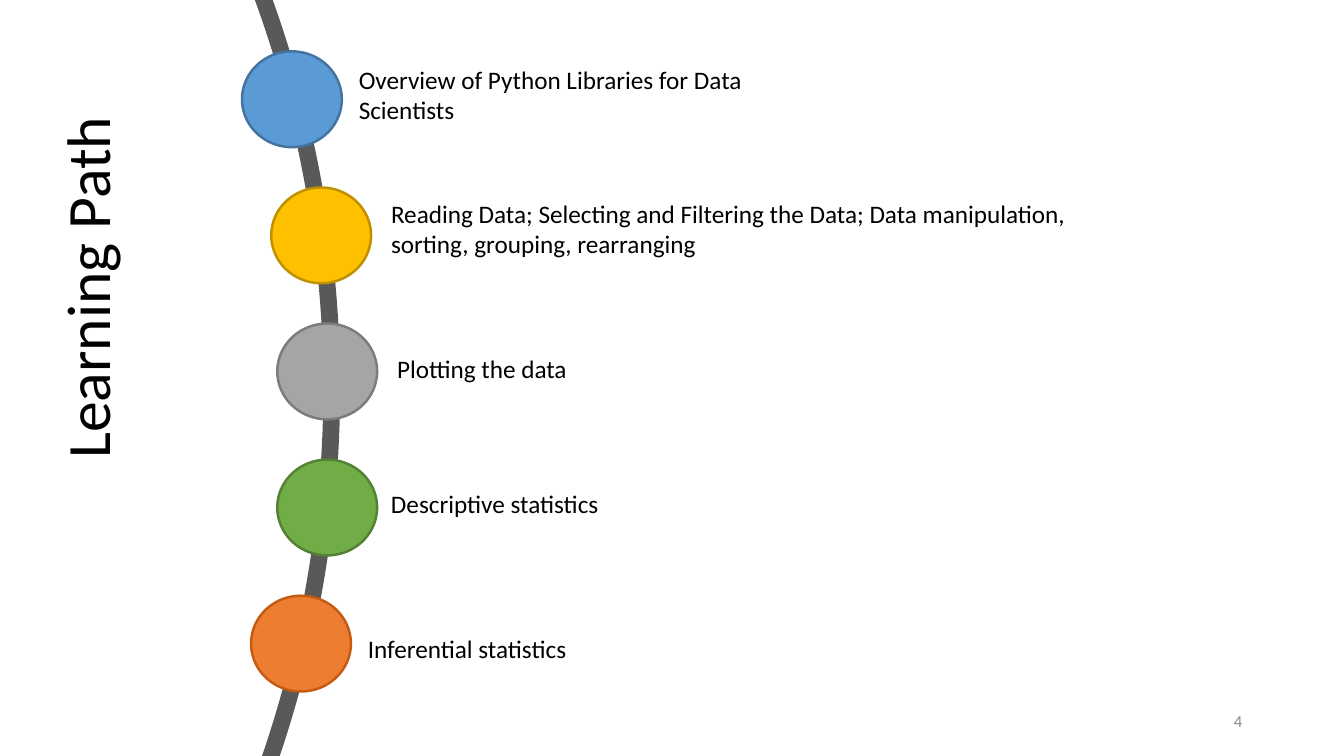
"""Build the Learning Path slide: five coloured stops along a curved road."""
import pptx
import pptx.util
import pptx.dml.color
import pptx.enum.shapes
import pptx.enum.text

Inches, Pt = pptx.util.Inches, pptx.util.Pt
ALIGN = pptx.enum.text.PP_ALIGN
ANCHOR = pptx.enum.text.MSO_ANCHOR

FONT = "Calibri"
COLORS = {
    "text": "000000", "number": "8C8C8C", "road": "595959",
    "blue": "5B9BD5", "blue_edge": "43739E",
    "gold": "FFC000", "gold_edge": "BF9000",
    "gray": "A5A5A5", "gray_edge": "7C7C7C",
    "green": "70AD47", "green_edge": "548235",
    "orange": "ED7D31", "orange_edge": "C55A11",
}
TITLE = "Learning Path"
PAGE_NUMBER = "4"
# fmt: off
STOPS = [
    {"text": "Overview of Python Libraries for Data Scientists",
     "color": "blue", "left": 2.4, "label": (3.46, 0.59, 4.59, 0.71)},
    {"text": "Reading Data; Selecting and Filtering the Data; "
             "Data manipulation, sorting, grouping, rearranging",
     "color": "gold", "left": 2.69, "label": (3.78, 1.92, 7.69, 0.71)},
    {"text": "Plotting the data",
     "color": "gray", "left": 2.75, "label": (3.84, 3.46, 5.77, 0.4)},
    {"text": "Descriptive statistics",
     "color": "green", "left": 2.75, "label": (3.78, 4.8, 5.77, 0.4)},
    {"text": "Inferential statistics",
     "color": "orange", "left": 2.49, "label": (3.55, 6.23, 5.77, 0.4)},
]
# fmt: on
STOP_TOP, STOP_PITCH, STOP_W, STOP_H = 0.51, 1.35, 0.99, 0.95
ROAD_RIGHT, ROAD_MIDDLE, ROAD_DIAMETER = 3.29, 3.85, 22.67


def rgb(name):
    return pptx.dml.color.RGBColor.from_string(COLORS[name])


def write(sp, text, size, color="text", align=ALIGN.LEFT, anchor=ANCHOR.TOP):
    tf = sp.text_frame
    tf.text = text
    tf.word_wrap = True
    tf.auto_size = pptx.enum.text.MSO_AUTO_SIZE.NONE
    tf.vertical_anchor = anchor
    p = tf.paragraphs[0]
    p.alignment = align
    font = p.runs[0].font
    font.name, font.size = FONT, Pt(size)
    font.color.rgb = rgb(color)
    return p


def add_label(slide, box, text, size, **style):
    sp = slide.shapes.add_textbox(*map(Inches, box))
    write(sp, text, size, **style)


def add_oval(slide, box, edge, width, fill=None):
    sp = slide.shapes.add_shape(
        pptx.enum.shapes.MSO_SHAPE.OVAL, *map(Inches, box))
    sp.shadow.inherit = False
    if fill:
        sp.fill.solid()
        sp.fill.fore_color.rgb = rgb(fill)
    else:
        sp.fill.background()
    sp.line.color.rgb = rgb(edge)
    sp.line.width = Pt(width)


def main():
    prs = pptx.Presentation()
    prs.slide_width, prs.slide_height = Inches(13.33), Inches(7.5)
    slide = prs.slides.add_slide(prs.slide_layouts.get_by_name("Title Only"))

    title = slide.shapes.title
    title.left, title.top = Inches(-2.15), Inches(2.13)
    title.width, title.height = Inches(6.09), Inches(1.45)
    title.rotation = 270
    p = write(title, TITLE, 44, align=ALIGN.CENTER, anchor=ANCHOR.MIDDLE)
    p.line_spacing = 0.9

    add_label(slide, (9.42, 6.95, 3, 0.4), PAGE_NUMBER, 12, color="number",
              align=ALIGN.RIGHT, anchor=ANCHOR.MIDDLE)

    road = (ROAD_RIGHT - ROAD_DIAMETER, ROAD_MIDDLE - ROAD_DIAMETER / 2,
            ROAD_DIAMETER, ROAD_DIAMETER)
    add_oval(slide, road, "road", 12)

    for i, stop in enumerate(STOPS):
        circle = (stop["left"], STOP_TOP + i * STOP_PITCH, STOP_W, STOP_H)
        add_oval(slide, circle, stop["color"] + "_edge", 1.75, stop["color"])
        add_label(slide, stop["label"], stop["text"], 18)

    prs.save("out.pptx")


if __name__ == "__main__":
    main()
